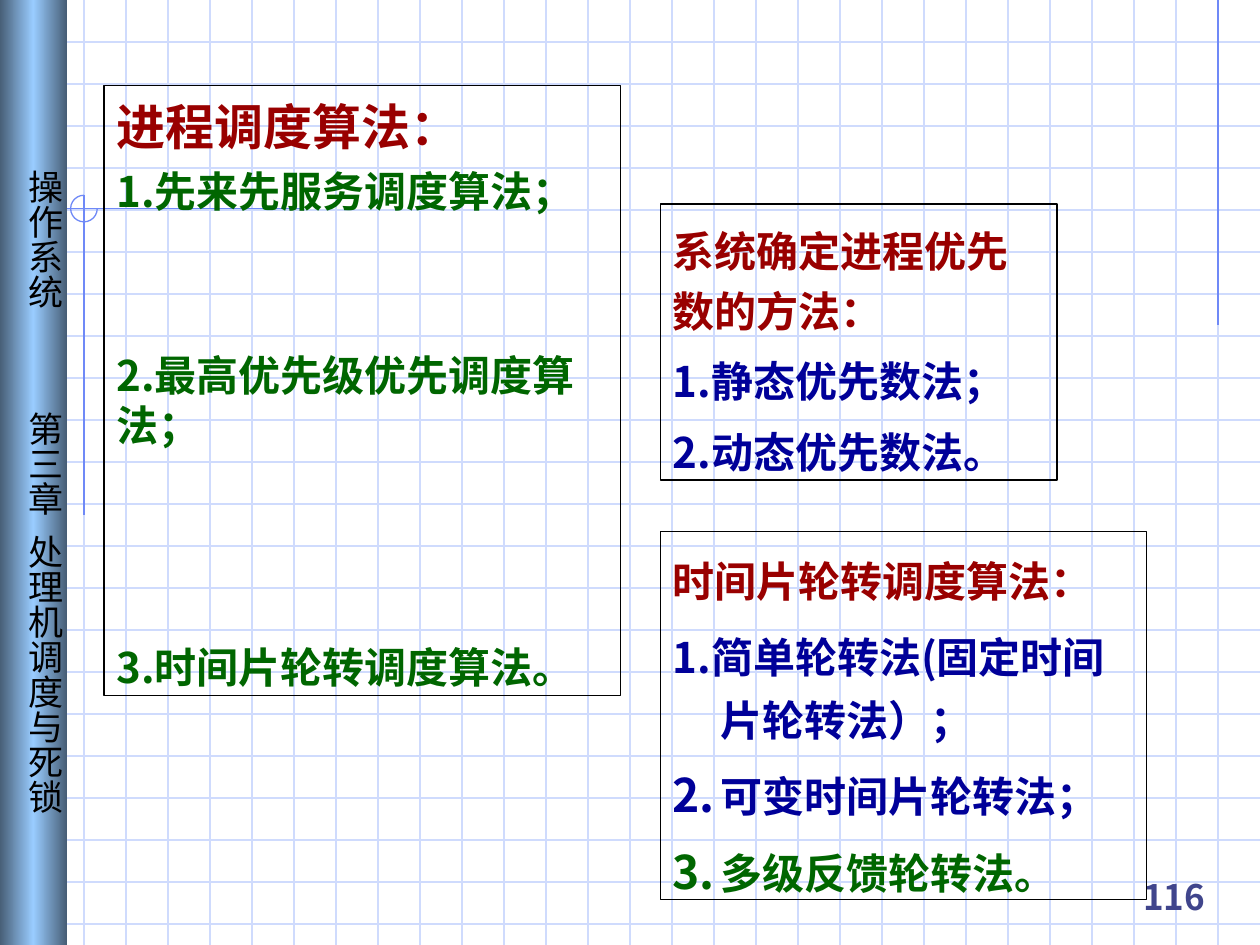
from copy import deepcopy
from dataclasses import dataclass

from lxml import etree
from pptx import Presentation
from pptx.dml.color import RGBColor
from pptx.enum import shapes, text
from pptx.oxml.ns import qn
from pptx.util import Pt


@dataclass(frozen=True)
class Theme:
    cjk: str = "Noto Sans CJK SC"
    serif: str = "Times New Roman"
    grid: str = "CFDBFD"
    accent: str = "6F89F7"
    edge: str = "475E76"
    sky: str = "99CCFF"
    black: str = "000000"
    red: str = "990000"
    green: str = "006600"
    blue: str = "000099"
    number: str = "40458C"
    heading: int = 28
    body: int = 24
    small: int = 20
    hairline: float = 0.75


T = Theme()
WIDTH, HEIGHT, GRID_STEP = 720, 540, 24

# Content: each line is (text, colour, size, font, space before, layout)
# layout is None, "hang" or "number"
PANELS = [
    dict(at=(377.3, 303.8, 277.9, 210.2), pitch=36, lines=[
        ("时间片轮转调度算法：", T.red, T.body, T.serif, 0, "hang"),
        ("1.简单轮转法(固定时间片轮转法）；", T.blue, T.body, T.cjk, 7.5, "hang"),
        ("可变时间片轮转法；", T.blue, T.body, T.serif, 7.5, "number"),
        ("多级反馈轮转法。", T.green, T.body, T.serif, 7.5, "number"),
    ]),
    dict(at=(377.3, 116.6, 226.8, 157.7), pitch=34.3, lines=[
        ("系统确定进程优先数的方法：", T.red, T.body, T.serif, 0, None),
        ("1.静态优先数法；", T.blue, T.body, T.cjk, 6, None),
        ("2.动态优先数法。", T.blue, T.body, T.cjk, 6, None),
    ]),
    dict(at=(59.5, 48.9, 295, 348.5), pitch=28.7, lines=[
        ("进程调度算法：", T.red, T.heading, T.serif, 0, None),
        ("1.先来先服务调度算法；", T.green, T.body, T.cjk, 6, None),
        ("2.最高优先级优先调度算法；", T.green, T.body, T.cjk, 76, None),
        ("3.时间片轮转调度算法。", T.green, T.body, T.cjk, 110, None),
    ]),
]
SIDEBAR_WIDTH = 38.2
SIDEBAR_LABELS = [("操作系统", 97), ("第三章", 235.5), ("处理机调度与死锁", 305.5)]
PAGE_NUMBER = "116"
ACCENT_LINES = [(696, 0, 696, 186), (172.8, 119.2, 32.4, 119.2),
                (48, 111.6, 48, 294.5)]
ARC_BOX = (40.4, 111.6, 15.2, 15.2)


def colour(value):
    return RGBColor.from_string(value)


def add_line(ends, ink):
    line = slide.shapes.add_connector(
        shapes.MSO_CONNECTOR.STRAIGHT, *map(Pt, ends))
    line.line.color.rgb = colour(ink)
    line.line.width = Pt(T.hairline)
    etree.SubElement(line._element.spPr, qn("a:effectLst"))


def add_preset(kind, at, ink=None):
    shape = slide.shapes.add_shape(kind, *map(Pt, at))
    shape.shadow.inherit = False
    shape.fill.background()
    if ink:
        shape.line.color.rgb = colour(ink)
        shape.line.width = Pt(T.hairline)
    else:
        shape.line.fill.background()
    return shape


def set_frame(frame, anchor, left, top, right, bottom):
    frame.word_wrap = True
    frame.vertical_anchor = anchor
    frame.margin_left, frame.margin_top = Pt(left), Pt(top)
    frame.margin_right, frame.margin_bottom = Pt(right), Pt(bottom)


def add_run(paragraph, words, ink, size, face=T.cjk, bold=True):
    run = paragraph.add_run()
    run.text = words
    font = run.font
    font.name, font.size, font.bold = face, Pt(size), bold
    font.color.rgb = colour(ink)
    east_asian = etree.SubElement(run._r.get_or_add_rPr(), qn("a:ea"))
    east_asian.set("typeface", T.cjk)


def set_indent(paragraph, layout, ink):
    props = paragraph._p.get_or_add_pPr()
    props.set("marL", str(Pt(27.4)))
    props.set("indent", str(-Pt(27.4)))
    if layout == "number":
        bullet_colour = etree.SubElement(props, qn("a:buClr"))
        etree.SubElement(bullet_colour, qn("a:srgbClr"), val=ink)
        etree.SubElement(props, qn("a:buSzPct"), val="110000")
        etree.SubElement(props, qn("a:buFont"), typeface=T.cjk)
        etree.SubElement(props, qn("a:buAutoNum"),
                         type="arabicPeriod", startAt="2")


def add_panel(at, pitch, lines):
    frame = add_preset(shapes.MSO_SHAPE.RECTANGLE, at, T.black).text_frame
    set_frame(frame, text.MSO_ANCHOR.TOP, 7.2, 6.5, 7.2, 0)
    for i, (words, ink, size, face, before, layout) in enumerate(lines):
        paragraph = frame.add_paragraph() if i else frame.paragraphs[0]
        paragraph.alignment = text.PP_ALIGN.LEFT
        # The heading size needs a taller line
        paragraph.line_spacing = Pt(33.5 if size == T.heading else pitch)
        if before:
            paragraph.space_before = Pt(before)
        if layout:
            set_indent(paragraph, layout, ink)
        add_run(paragraph, words, ink, size, face)


def add_sidebar():
    bar = add_preset(shapes.MSO_SHAPE.RECTANGLE, (0, 0, SIDEBAR_WIDTH, HEIGHT))
    bar.fill.gradient()
    bar.fill.gradient_angle = 0
    stop_list = bar._element.spPr.find(".//" + qn("a:gsLst"))
    stop_list.append(deepcopy(stop_list[-1]))
    stops = zip(bar.fill.gradient_stops, (0, 0.5, 1), (T.edge, T.sky, T.edge))
    for stop, position, ink in stops:
        stop.position = position
        stop.color.rgb = colour(ink)
    for words, top in SIDEBAR_LABELS:
        length = T.small * (len(words) + 1)
        label = slide.shapes.add_textbox(Pt(8.5), Pt(top), Pt(29), Pt(length))
        frame = label.text_frame
        set_frame(frame, text.MSO_ANCHOR.TOP, 0, 0, 0, 0)
        frame._txBody.bodyPr.set("vert", "eaVert")
        add_run(frame.paragraphs[0], words, T.black, T.small, bold=False)


prs = Presentation()
prs.slide_width, prs.slide_height = Pt(WIDTH), Pt(HEIGHT)
slide = prs.slides.add_slide(prs.slide_layouts[6])

# Background grid
for y in range(GRID_STEP, HEIGHT, GRID_STEP):
    add_line((0, y, WIDTH, y), T.grid)
for x in range(GRID_STEP, WIDTH, GRID_STEP):
    add_line((x, 0, x, HEIGHT), T.grid)

# Accent lines and three-quarter circle
for ends in ACCENT_LINES:
    add_line(ends, T.accent)
arc = add_preset(shapes.MSO_SHAPE.ARC, ARC_BOX, T.accent)
arc.adjustments[0], arc.adjustments[1] = 0, 162

add_sidebar()

# Page number
page = slide.shapes.add_textbox(Pt(635.8), Pt(491.8), Pt(60), Pt(36)).text_frame
set_frame(page, text.MSO_ANCHOR.BOTTOM, 7.2, 3.6, 7.2, 3.6)
page.paragraphs[0].alignment = text.PP_ALIGN.RIGHT
add_run(page.paragraphs[0], PAGE_NUMBER, T.number, T.small)

# Algorithm panels
for panel in PANELS:
    add_panel(**panel)

prs.save("out.pptx")
